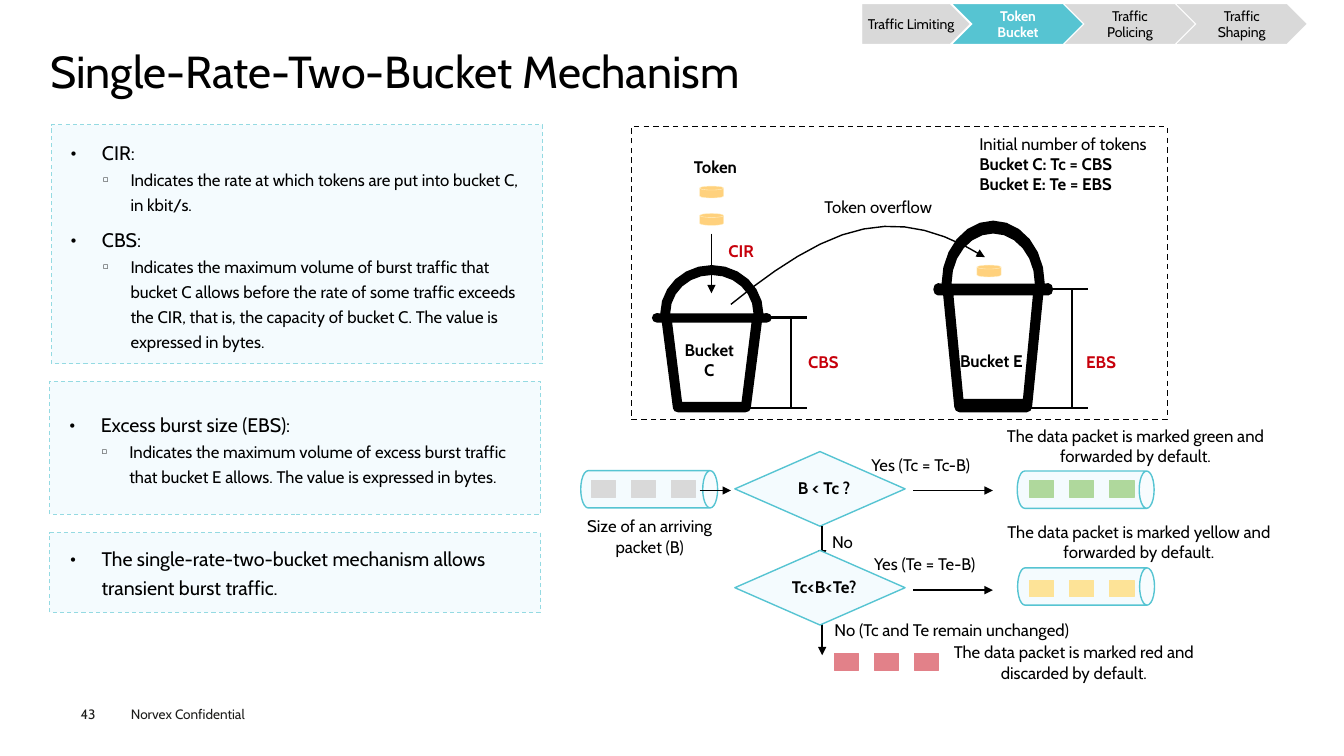
from math import cos, radians, sin

from lxml.etree import SubElement
from pptx import Presentation
from pptx.dml.color import RGBColor
from pptx.enum.dml import MSO_LINE
from pptx.enum.shapes import MSO_CONNECTOR, MSO_SHAPE as Preset
from pptx.enum.text import MSO_ANCHOR as Anchor, MSO_AUTO_SIZE as AutoSize, PP_ALIGN as Align
from pptx.oxml.ns import qn
from pptx.util import Cm, Pt

COLORS = {
    "black": "000000", "white": "FFFFFF", "footer": "1D1D1B", "red": "C7000B",
    "pale": "F4FBFE", "teal": "56C4D2", "panel_line": "94DAE2", "grey": "D9D9D9",
    "green_packet": "AFD89C", "yellow_packet": "FDE397", "red_packet": "E28189",
    "coin": "FFD17D", "coin_line": "FFF2CC",
}
BUCKET_WIDTH, BUCKET_HEIGHT = 3.02, 3.71


def rgb(name):
    return RGBColor.from_string(COLORS[name])


def arc(center_x, center_y, radius_x, radius_y, start, end, steps=6):
    angles = [radians(start + (end - start) * i / steps) for i in range(steps + 1)]
    return [(center_x + radius_x * cos(a), center_y - radius_y * sin(a)) for a in angles]


def bezier(p0, p1, p2, p3, steps=6):
    points = []
    for i in range(steps + 1):
        t = i / steps
        weights = ((1 - t) ** 3, 3 * t * (1 - t) ** 2, 3 * t * t * (1 - t), t ** 3)
        points.append(tuple(sum(w * p[axis] for w, p in zip(weights, (p0, p1, p2, p3)))
                            for axis in (0, 1)))
    return points


def mirrored(left_half):
    """Close a left half outline with its reflection about the bucket's axis."""
    return left_half + [(BUCKET_WIDTH - x, y) for x, y in reversed(left_half)]


def bucket_contours():
    middle = BUCKET_WIDTH / 2
    outer = (arc(middle, 1.22, 1.3, 1.22, 90, 180) + arc(0.12, 1.33, 0.12, 0.12, 90, 270, 4)
             + [(0.25, 1.45), (0.53, 3.61), (0.57, 3.68), (0.66, 3.71)])
    body_opening = [(0.51, 1.45), (0.76, 3.45)]
    dome_opening = arc(middle, 1.22, 1.05, 0.97, 90, 180)
    return [mirrored(half) for half in (outer, body_opening, dome_opening)]


class SlideBuilder:
    font = "Cabin"

    def __init__(self, slide):
        self.slide = slide

    def style(self, shape, fill=None, line=None, line_width=0.75, dash=False):
        shape.shadow.inherit = False
        if fill:
            shape.fill.solid()
            shape.fill.fore_color.rgb = rgb(fill)
        else:
            shape.fill.background()
        if line:
            shape.line.color.rgb = rgb(line)
            shape.line.width = Pt(line_width)
            if dash:
                shape.line.dash_style = MSO_LINE.DASH
        else:
            shape.line.fill.background()

    def format_runs(self, paragraph, size, color="black", bold=False):
        for run in paragraph.runs:
            run.font.name = self.font
            run.font.size = Pt(size)
            run.font.bold = bold
            run.font.color.rgb = rgb(color)

    def shape(self, preset, left, top, width, height, **style):
        shape = self.slide.shapes.add_shape(preset, Cm(left), Cm(top), Cm(width), Cm(height))
        self.style(shape, **style)
        return shape

    def label(self, text, left, top, width, height=0.76, size=12, color="black", align=Align.CENTER,
              bold_from=None, wrap=False, anchor=Anchor.MIDDLE, inset=True, spacing=None):
        """Add a text box; paragraphs from index bold_from on are bold."""
        box = self.slide.shapes.add_textbox(Cm(left), Cm(top), Cm(width), Cm(height))
        frame = box.text_frame
        frame.text = text
        frame.word_wrap = wrap
        frame.vertical_anchor = anchor
        if not inset:
            frame.margin_left = frame.margin_right = frame.margin_top = frame.margin_bottom = 0
        for index, paragraph in enumerate(frame.paragraphs):
            paragraph.alignment = align
            paragraph.line_spacing = spacing
            self.format_runs(paragraph, size, color, bold_from is not None and index >= bold_from)
        return frame

    def bullets(self, text, left, top, width, height):
        """Add a bulleted heading, with any further line as a sub-bullet."""
        frame = self.label(text, left, top, width, height, align=Align.LEFT, wrap=True, spacing=1.25)
        frame.auto_size = AutoSize.SHAPE_TO_FIT_TEXT
        styles = (("•", 0.79, -0.79, 100, 14), ("◻", 1.51, -0.69, 50, 12))
        for level, (paragraph, style) in enumerate(zip(frame.paragraphs, styles)):
            mark, margin, indent, percent, size = style
            paragraph.level = level
            properties = paragraph._p.get_or_add_pPr()
            properties.set("marL", str(Cm(margin)))
            properties.set("indent", str(Cm(indent)))
            SubElement(properties, qn("a:buSzPct"), val=str(percent * 1000))
            SubElement(properties, qn("a:buFont"), typeface=self.font)
            SubElement(properties, qn("a:buChar"), char=mark)
            self.format_runs(paragraph, size)

    def add_arrowhead(self, shape):
        SubElement(shape.line._get_or_add_ln(), qn("a:tailEnd"), type="triangle")

    def line(self, x1, y1, x2, y2, width=1.0, arrow=False):
        connector = self.slide.shapes.add_connector(
            MSO_CONNECTOR.STRAIGHT, Cm(x1), Cm(y1), Cm(x2), Cm(y2))
        connector.line.color.rgb = rgb("black")
        connector.line.width = Pt(width)
        if arrow:
            self.add_arrowhead(connector)
        SubElement(connector._element.spPr, qn("a:effectLst"))

    def outline(self, contours, close=True, **style):
        scaled = [[(Cm(x), Cm(y)) for x, y in contour] for contour in contours]
        builder = self.slide.shapes.build_freeform(*scaled[0][0])
        for index, contour in enumerate(scaled):
            if index:
                builder.move_to(*contour[0])
            builder.add_line_segments(contour[1:], close=close)
        shape = builder.convert_to_shape()
        self.style(shape, **style)
        return shape

    def bucket(self, left, top, height):
        stretch = height / BUCKET_HEIGHT
        self.outline([[(left + x, top + y * stretch) for x, y in contour]
                      for contour in bucket_contours()], fill="black")

    def depth_mark(self, x, top, bottom=10.29):
        self.line(x, bottom, x, top, 1.5)
        for y in (top, bottom):
            self.line(x - 1.1, y, x + 0.4, y, 1.5)

    def pipe(self, center_x, center_y, width=0.94, length=3.45):
        pipe = self.shape(Preset.CAN, center_x - width / 2, center_y - length / 2, width, length,
                          fill="pale", line="teal", line_width=1)
        pipe.adjustments[0] = 0.4
        pipe.rotation = 90

    def packets(self, left, top, color):
        for index in range(3):
            self.shape(Preset.RECTANGLE, left + 1.01 * index, top, 0.61, 0.41, fill=color, line=color)

    def decision(self, text, top):
        self.shape(Preset.FLOWCHART_DECISION, 18.52, top, 4.29, 1.88, fill="pale", line="teal", line_width=1)
        self.label(text, 19.57, top + 0.53, 2.4, bold_from=0)

    def step(self, preset, text, left, width, color="grey", text_color="black", margin=0.25):
        shape = self.shape(preset, left, 0.11, width, 0.99, fill=color, line=color, line_width=0.25)
        frame = shape.text_frame
        frame.text = text
        frame.word_wrap = True
        frame.vertical_anchor = Anchor.MIDDLE
        frame.margin_left = frame.margin_right = Cm(margin)
        frame.margin_top = frame.margin_bottom = 0
        paragraph = frame.paragraphs[0]
        paragraph.alignment = Align.CENTER
        self.format_runs(paragraph, 10, text_color, bold=text_color == "white")


def draw_header_and_footer(builder):
    builder.label("Single-Rate-Two-Bucket Mechanism", 1.27, 1.26, 31.27, 1.35, 32, align=Align.LEFT,
                  wrap=True, anchor=Anchor.TOP, inset=False, spacing=0.9)
    builder.label("Norvex Confidential", 3.05, 17.67, 4.06, 0.69, 9.7, "footer", Align.LEFT,
                  anchor=Anchor.TOP)
    builder.label("43", 2.03, 17.79, 1.4, 0.41, 9.7, "footer", Align.LEFT, anchor=Anchor.TOP, inset=False)
    builder.step(Preset.PENTAGON, "Traffic Limiting", 21.74, 2.69, margin=0.1)
    chevrons = (("Token Bucket", "teal", "white"), ("Traffic Policing", "grey", "black"),
                ("Traffic Shaping", "grey", "black"))
    for index, (text, color, text_color) in enumerate(chevrons):
        builder.step(Preset.CHEVRON, text, 24.03 + 2.82 * index, 3.25, color, text_color)


def draw_definitions(builder):
    for left, top, height in ((1.3, 3.15, 6.02), (1.25, 9.61, 3.35), (1.25, 13.42, 2.01)):
        builder.shape(Preset.RECTANGLE, left, top, 12.37, height, fill="pale", line="panel_line", dash=True)
    builder.bullets("CIR:\nIndicates the rate at which tokens are put into bucket C, in kbit/s.",
                    1.53, 3.27, 11.89, 2.29)
    builder.bullets("CBS:\nIndicates the maximum volume of burst traffic that bucket C allows before the rate "
                    "of some traffic exceeds the CIR, that is, the capacity of bucket C. The value is "
                    "expressed in bytes.", 1.53, 5.45, 12.17, 3.56)
    builder.bullets("Excess burst size (EBS):\nIndicates the maximum volume of excess burst traffic that "
                    "bucket E allows. The value is expressed in bytes.", 1.5, 9.8, 12.17, 2.92)
    builder.bullets("The single-rate-two-bucket mechanism allows transient burst traffic.",
                    1.52, 13.49, 12.17, 1.75)


def draw_buckets(builder):
    builder.bucket(16.43, 6.68, 3.71)
    builder.bucket(23.52, 5.56, 4.83)
    builder.depth_mark(19.94, 8.0)
    builder.depth_mark(27.02, 7.29)
    builder.line(17.93, 5.89, 17.93, 7.39, arrow=True)
    peak = (21.77, 5.77)
    overflow = (bezier((18.42, 7.67), (19.51, 6.78), (20.7, 5.97), peak)
                + bezier(peak, (22.83, 5.56), (23.77, 5.84), (24.82, 6.48))[1:])
    builder.add_arrowhead(builder.outline([overflow], close=False, line="black", line_width=1))
    for text, left, top, width in (("CBS", 20.0, 8.74, 1.5), ("EBS", 27.0, 8.74, 1.5),
                                   ("CIR", 17.93, 5.94, 1.5)):
        builder.label(text, left, top, width, color="red", bold_from=0)
    builder.label("Token", 17.03, 3.82, 2.0, bold_from=0)
    builder.label("Bucket C", 16.87, 8.69, 2.01, bold_from=0, wrap=True)
    builder.label("Bucket E", 23.88, 8.7, 2.21, bold_from=0, wrap=True)
    builder.label("Token overflow", 20.38, 4.83, 3.51)
    builder.label("Initial number of tokens\nBucket C: Tc = CBS\nBucket E: Te = EBS",
                  24.43, 3.23, 5.18, 1.78, align=Align.LEFT, bold_from=1)
    for left, top in ((17.63, 5.38), (17.63, 4.69), (24.62, 6.68)):
        builder.shape(Preset.FLOWCHART_MAGNETIC_DISK, left, top, 0.61, 0.3,
                      fill="coin", line="coin_line", line_width=0.25)
    builder.shape(Preset.RECTANGLE, 15.91, 3.19, 13.51, 7.39, line="black", line_width=1, dash=True)


def draw_flow(builder):
    for center in ((16.36, 12.33), (27.36, 12.34), (27.37, 14.78)):
        builder.pipe(*center)
    for left, top, color in ((14.91, 12.12, "grey"), (25.95, 12.12, "green_packet"),
                             (25.95, 14.63, "yellow_packet"), (21.02, 16.48, "red_packet")):
        builder.packets(left, top, color)
    builder.decision("B < Tc ?", 11.38)
    for ends in ((17.63, 12.36, 18.42, 12.36), (23.01, 12.36, 25.02, 12.36), (20.72, 13.26, 20.72, 14.07),
                 (23.01, 14.87, 25.02, 14.87), (20.72, 15.7, 20.72, 16.51)):
        builder.line(*ends, arrow=True)
    builder.decision("Tc<B<Te?", 13.87)
    for text, left, top, width in (
            ("No", 20.72, 13.27, 1.2), ("No (Tc and Te remain unchanged)", 20.78, 15.48, 7.24),
            ("Yes (Tc = Tc-B)", 21.71, 11.33, 3.3), ("Yes (Te = Te-B)", 21.78, 13.82, 3.3)):
        builder.label(text, left, top, width, align=Align.LEFT)
    builder.label("Size of an arriving packet (B)", 14.15, 12.88, 4.45, 1.27, wrap=True)
    for outcome, left, top, width in (("green and forwarded", 25.05, 10.85, 7.14),
                                      ("yellow and forwarded", 25.1, 13.28, 7.21),
                                      ("red and discarded", 23.75, 16.31, 6.63)):
        builder.label(f"The data packet is marked {outcome} by default.", left, top, width, wrap=True)


def main():
    presentation = Presentation()
    presentation.slide_width, presentation.slide_height = Cm(33.87), Cm(19.05)
    builder = SlideBuilder(presentation.slides.add_slide(presentation.slide_layouts[6]))
    for draw in (draw_header_and_footer, draw_definitions, draw_flow, draw_buckets):
        draw(builder)
    presentation.save("out.pptx")


if __name__ == "__main__":
    main()
